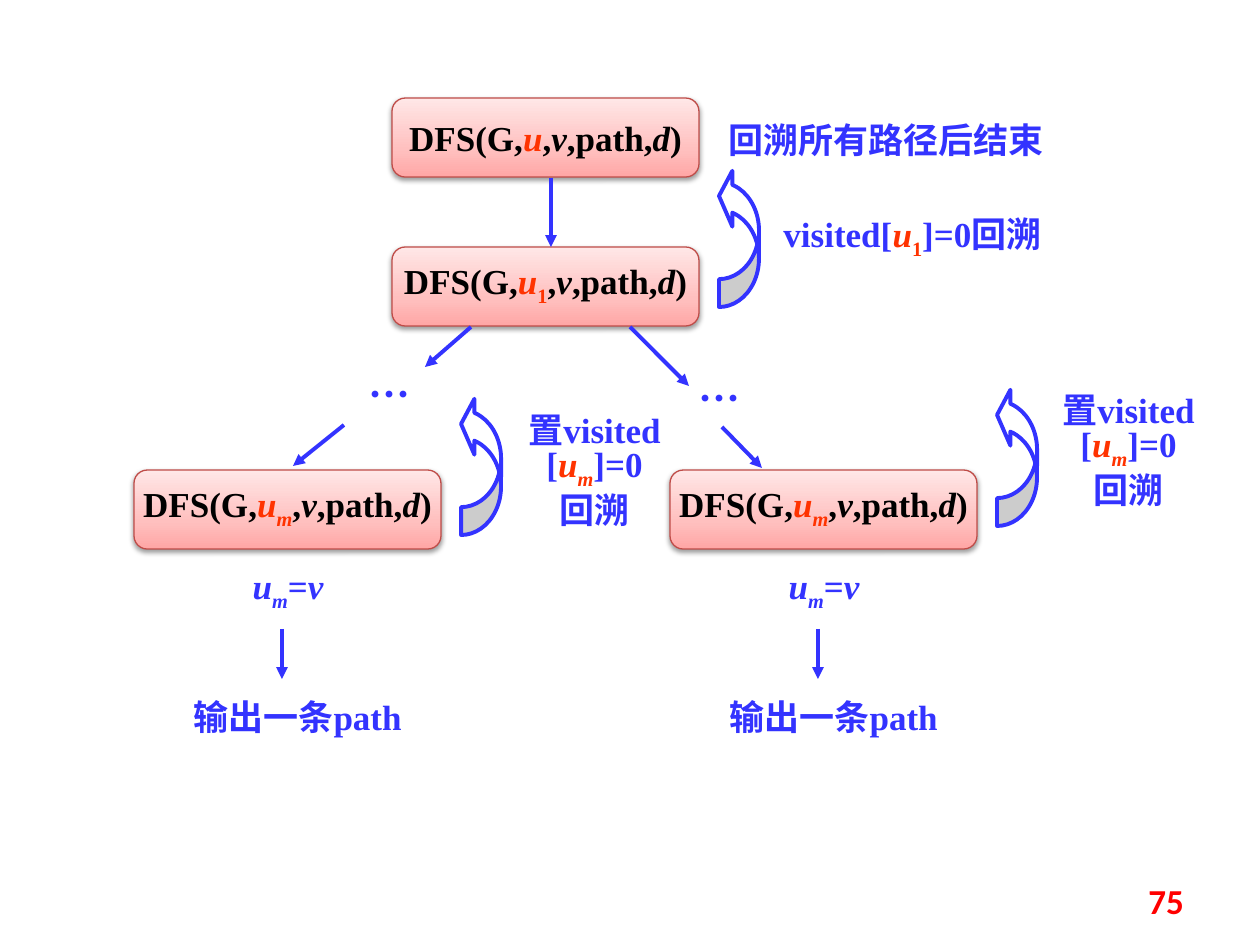
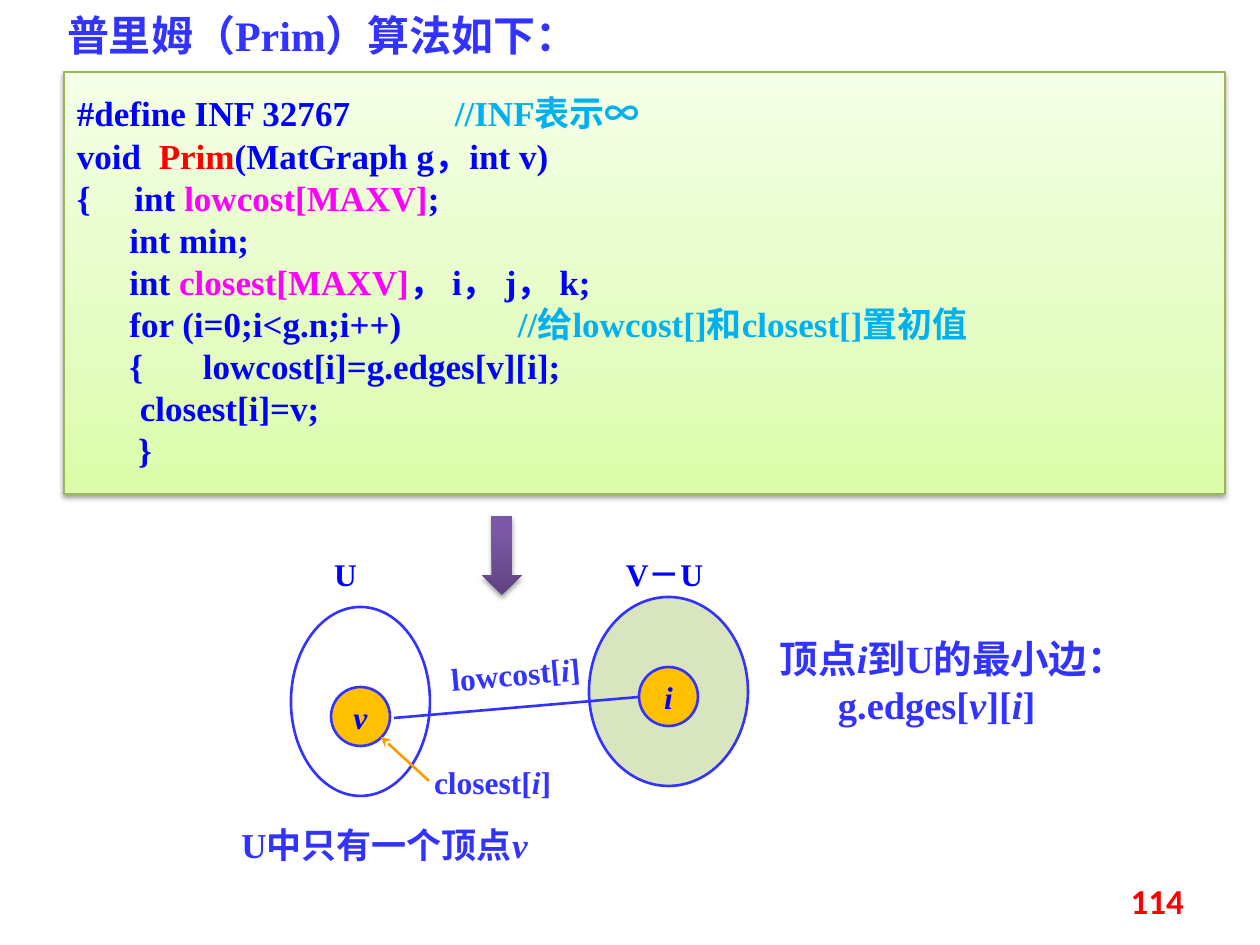
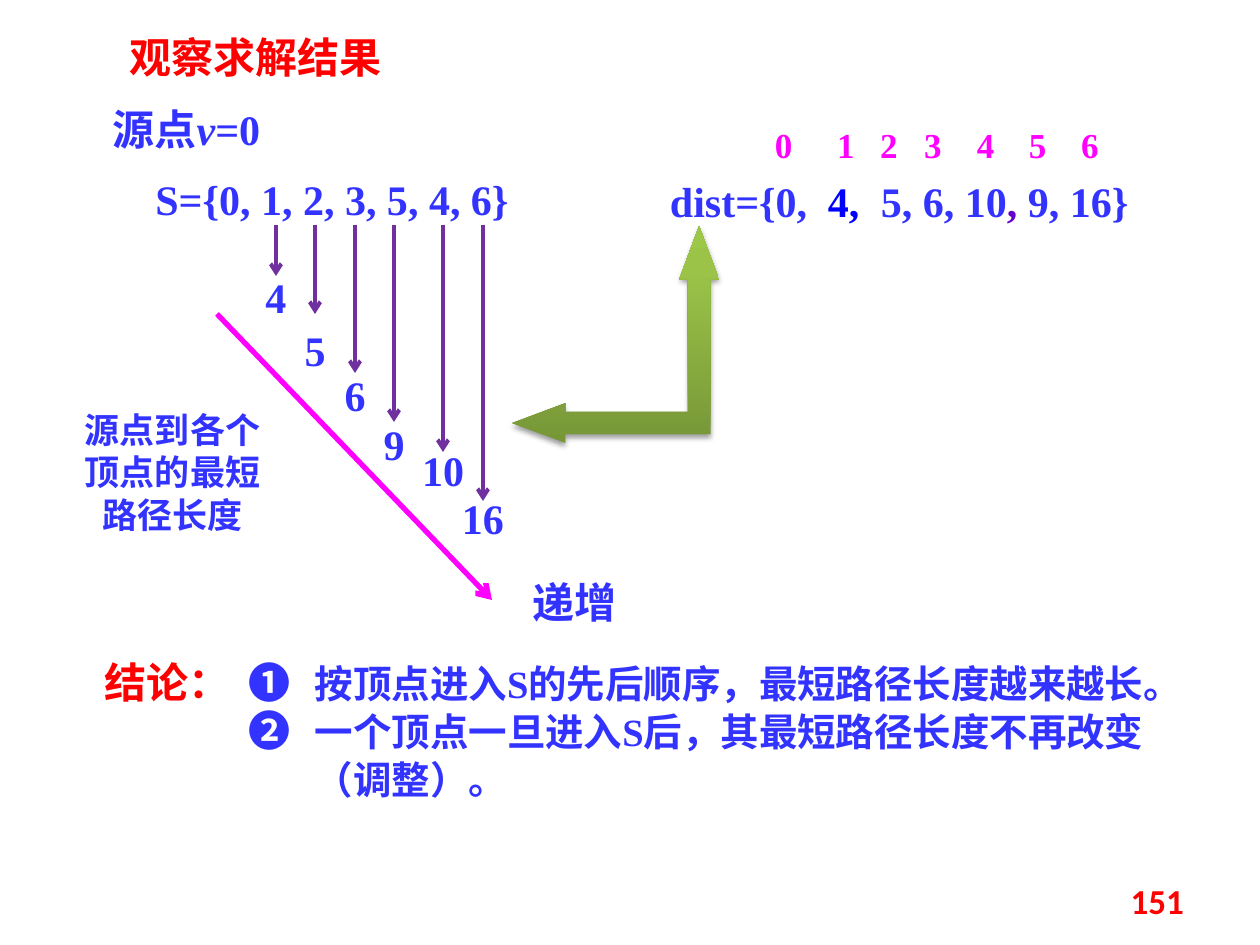
from lxml import etree
from pptx import Presentation
from pptx.dml.color import RGBColor
from pptx.enum.shapes import MSO_CONNECTOR, MSO_SHAPE
from pptx.enum.text import MSO_ANCHOR, MSO_AUTO_SIZE, PP_ALIGN
from pptx.oxml.ns import qn
from pptx.util import Emu, Pt

# Scale and enum members
PX_PER_INCH = 126
LEFT, CENTER, RIGHT = PP_ALIGN.LEFT, PP_ALIGN.CENTER, PP_ALIGN.RIGHT
TOP, MIDDLE = MSO_ANCHOR.TOP, MSO_ANCHOR.MIDDLE
NO_FIT = MSO_AUTO_SIZE.NONE
STRAIGHT = MSO_CONNECTOR.STRAIGHT
RECT, ROUND_RECT, ELLIPSE = MSO_SHAPE.RECTANGLE, MSO_SHAPE.ROUNDED_RECTANGLE, MSO_SHAPE.OVAL
CURVED_ARROW, DOWN_ARROW = MSO_SHAPE.CURVED_RIGHT_ARROW, MSO_SHAPE.DOWN_ARROW
LEFT_UP_ARROW = MSO_SHAPE.LEFT_UP_ARROW
TITLE_ONLY, BLANK = 5, 6

# Colours
BLUE = RGBColor(0x33, 0x33, 0xFF)
CODE_BLUE = RGBColor(0x00, 0x00, 0xFF)
COMMENT = RGBColor(0x00, 0xB0, 0xF0)
MAGENTA = RGBColor(0xFF, 0x00, 0xFF)
RED = RGBColor(0xFF, 0x00, 0x00)
VERTEX_RED = RGBColor(0xFF, 0x33, 0x00)
VIOLET = RGBColor(0x66, 0x00, 0xCC)
PURPLE = RGBColor(0x70, 0x30, 0xA0)
ORANGE = RGBColor(0xFF, 0x99, 0x00)
AMBER = RGBColor(0xFF, 0xC0, 0x00)
SAGE = RGBColor(0xC3, 0xD6, 0x9B)
WHITE = RGBColor(0xFF, 0xFF, 0xFF)
BLACK = RGBColor(0x00, 0x00, 0x00)
NODE_EDGE = RGBColor(0xBF, 0x4C, 0x48)
CODE_EDGE = RGBColor(0x98, 0xB9, 0x55)

# Gradients from bottom to top: position in percent, colour
PINK_FADE = [(0, "FFA6A5"), (35, "FFC0BF"), (100, "FFE7E7")]
LIME_FADE = [(0, "DAFDA7"), (35, "E4FCC2"), (100, "F5FFE7")]
PURPLE_FADE = [(0, "5F4480"), (80, "7B58A6"), (100, "7C57A8")]
GREEN_FADE = [(0, "779737"), (80, "9BC348"), (100, "9DC746")]

# Text style
SERIF, SANS, NUMBER_FONT = "Times New Roman", "Noto Sans CJK SC", "Calibri"
BASE_STYLE = {"name": SERIF, "size": 20, "bold": True, "italic": False,
              "color": BLUE, "baseline": 0}
LINE_FACTOR = 1.2
INSET = (13, 6)


def px(length):
    return Emu(round(length * 914400 / PX_PER_INCH))


def place(at):
    return [px(length) for length in at]


def child(parent, tag, **attributes):
    return etree.SubElement(parent, qn(tag), {key: str(value) for key, value in attributes.items()})


# Text

def styled(text, **changes):
    return text, changes


def italic(text, **changes):
    return styled(text, italic=True, **changes)


def subscript(text, **changes):
    return styled(text, baseline=-25000, **changes)


def add_span(para, text, style):
    span = para.add_run()
    span.text = text
    values = {"name": style["name"], "size": Pt(style["size"]),
              "bold": style["bold"], "italic": style["italic"]}
    for key, value in values.items():
        setattr(span.font, key, value)
    span.font.color.rgb = style["color"]
    properties = span._r.get_or_add_rPr()
    child(properties, "a:ea", typeface=SANS)
    if style["baseline"]:
        properties.set("baseline", str(style["baseline"]))


def write(frame, paras, align=LEFT, anchor=TOP, inset=INSET, wrap=True,
          pitch=None, hang=0, tabs=(), **style):
    style = BASE_STYLE | style
    across, down = place(inset)
    settings = {"word_wrap": wrap, "auto_size": NO_FIT, "vertical_anchor": anchor,
                "margin_left": across, "margin_right": across,
                "margin_top": down, "margin_bottom": down}
    for key, value in settings.items():
        setattr(frame, key, value)
    for index, spans in enumerate(paras):
        para = frame.add_paragraph() if index else frame.paragraphs[0]
        para.alignment = align
        para.line_spacing = Pt(pitch or round(style["size"] * LINE_FACTOR))
        para.space_before = Pt(0)
        properties = para._p.get_or_add_pPr()
        if hang:
            properties.set("marL", str(px(hang)))
            properties.set("indent", str(-px(hang)))
        if tabs:
            stops = child(properties, "a:tabLst")
            for stop in tabs:
                child(stops, "a:tab", pos=px(stop), algn="l")
        for span in spans:
            text, changes = styled(span) if isinstance(span, str) else span
            add_span(para, text, style | changes)


def add_text(page, at, paras, rotation=0, **options):
    box = page.shapes.add_textbox(*place(at))
    box.rotation = rotation
    write(box.text_frame, paras, **options)


def set_title(page, at, text, **options):
    title = page.shapes.title
    title.left, title.top, title.width, title.height = place(at)
    write(title.text_frame, [[text]], size=24, **options)


def add_page_number(page, number):
    add_text(page, (903, 876, 294, 50), [[number]], align=RIGHT, anchor=MIDDLE,
             name=NUMBER_FONT, color=RED)


# Shapes and lines

def add_shape(page, kind, at, fill=None, edge=None, weight=1.5, adjust=()):
    shape = page.shapes.add_shape(kind, *place(at))
    shape.shadow.inherit = False
    for index, value in enumerate(adjust):
        shape.adjustments[index] = value
    if fill is None:
        shape.fill.background()
    elif isinstance(fill, list):
        set_gradient(shape, fill)
        add_shadow(shape)
    else:
        shape.fill.solid()
        shape.fill.fore_color.rgb = fill
    if edge is None:
        shape.line.fill.background()
    else:
        shape.line.color.rgb = edge
        shape.line.width = Pt(weight)
    return shape


def set_gradient(shape, stops):
    shape.fill.gradient()
    shape.fill.gradient_angle = 90
    stop_list = shape._element.spPr.find(".//" + qn("a:gsLst"))
    stop_list.clear()
    for position, color in stops:
        child(child(stop_list, "a:gs", pos=position * 1000), "a:srgbClr", val=color)


def add_shadow(shape):
    effects = shape._element.spPr.find(qn("a:effectLst"))
    shadow = child(effects, "a:outerShdw", blurRad=Pt(3.1), dist=Pt(1.6),
                   dir=5400000, rotWithShape=0)
    child(child(shadow, "a:srgbClr", val="000000"), "a:alpha", val=38000)


def add_line(page, start, end, color=BLUE, weight=2.25, head="triangle"):
    line = page.shapes.add_connector(STRAIGHT, *place(start + end))
    line.line.color.rgb = color
    line.line.width = Pt(weight)
    if head:
        child(line.line._get_or_add_ln(), "a:tailEnd", type=head)
    child(line._element.spPr, "a:effectLst")


def add_call(page, left, top, vertex):
    node = add_shape(page, ROUND_RECT, (left, top, 307, 79), PINK_FADE, NODE_EDGE, 0.75, [0.167])
    spans = ["DFS(G,", *vertex, ",", italic("v"), ",path,", italic("d"), ")"]
    write(node.text_frame, [spans], align=CENTER, anchor=MIDDLE, wrap=False, color=BLACK)


def add_back_arrow(page, left, top):
    arrow = add_shape(page, CURVED_ARROW, (left, top, 40, 139), WHITE, BLUE, 2.25,
                      [0.698, 1.396, 0.333])
    arrow.rotation = 180


def add_vertex(page, left, top, name):
    vertex = add_shape(page, ELLIPSE, (left, top, 59, 59), AMBER, BLUE)
    write(vertex.text_frame, [[italic(name)]], align=CENTER, anchor=MIDDLE, wrap=False,
          size=18, color=CODE_BLUE)


# Slides

def build_call_tree(deck):
    page = deck.slides.add_slide(deck.slide_layouts[BLANK])
    tight = {"align": CENTER, "inset": (0, 0)}
    u = italic("u", color=VERTEX_RED)
    u_first = [u, subscript("1", color=VERTEX_RED)]
    u_last = [u, subscript("m", color=VERTEX_RED, italic=True)]

    # Calls
    add_call(page, 392, 98, [u])
    add_call(page, 392, 247, u_first)
    add_line(page, (551, 178), (551, 247))
    for shift in (0, 536):
        add_call(page, 134 + shift, 470, u_last)
        add_text(page, (233 + shift, 570, 110, 42),
                 [[italic("u"), subscript("m", italic=True), "=", italic("v")]], **tight)
        add_line(page, (282 + shift, 629), (282 + shift, 679))
        add_text(page, (154 + shift, 689, 287, 54), [["输出一条path"]], align=CENTER)

    # Branches
    for start, end in [((471, 327), (425, 367)), ((344, 425), (293, 466)),
                       ((630, 327), (689, 386)), ((722, 427), (762, 468))]:
        add_line(page, start, end)
    for left, top in [(350, 368), (680, 372)]:
        add_text(page, (left, top, 79, 50), [["…"]], size=24, name=SANS, **tight)

    # Backtracking
    for left, top in [(719, 168), (461, 396), (997, 387)]:
        add_back_arrow(page, left, top)
    add_text(page, (719, 118, 334, 43), [["回溯所有路径后结束"]], **tight)
    add_text(page, (769, 218, 287, 43), [["visited[", *u_first, "]=0回溯"]], **tight)
    for left, top in [(515, 410), (1049, 390)]:
        add_text(page, (left, top, 159, 122),
                 [["置visited"], ["[", *u_last, "]=0"], ["回溯"]], pitch=23, **tight)
    add_page_number(page, "75")


def build_prim(deck):
    page = deck.slides.add_slide(deck.slide_layouts[TITLE_ONLY])
    set_title(page, (54, 3, 665, 63), "普里姆（Prim）算法如下：")

    # Code
    code = [
        ["#define INF 32767\t\t", styled("//INF表示∞", color=COMMENT)],
        ["void  ", styled("Prim", color=RED), "(MatGraph g，int v)"],
        ["{     int ", styled("lowcost[MAXV]", color=MAGENTA), ";"],
        ["      int min;"],
        ["      int ", styled("closest[MAXV]", color=MAGENTA), "， i， j， k;"],
        ["      for (i=0;i<g.n;i++)\t\t",
         styled("//给lowcost[]和closest[]置初值", color=COMMENT)],
        ["      {\tlowcost[i]=g.edges[v][i];"],
        ["\tclosest[i]=v;"],
        ["       }"],
    ]
    panel = add_shape(page, RECT, (64, 72, 1161, 422), LIME_FADE, CODE_EDGE, 0.75)
    write(panel.text_frame, code, inset=(13, 20), color=CODE_BLUE)
    add_shape(page, DOWN_ARROW, (482, 516, 40, 79), PURPLE_FADE)

    # Vertex sets
    outside = add_shape(page, ELLIPSE, (589, 597, 159, 189), SAGE, BLUE)
    color = outside._element.spPr.find(qn("a:solidFill"))[0]
    child(color, "a:alpha", val=63000)
    add_shape(page, ELLIPSE, (291, 607, 139, 189), None, BLUE)
    add_line(page, (394, 718), (639, 697), weight=1.5, head=None)
    add_vertex(page, 639, 667, "i")
    add_vertex(page, 331, 687, "v")
    add_line(page, (429, 781), (381, 737), ORANGE, 1.5, "stealth")

    # Labels
    for at, name in [((311, 548, 69, 50), "U"), ((590, 548, 149, 50), "V－U")]:
        add_text(page, at, [[name]], align=CENTER, size=18, color=CODE_BLUE)
    add_text(page, (431, 648, 169, 50), [["lowcost[", italic("i"), "]"]],
             rotation=-5.1, align=CENTER, size=18)
    add_text(page, (421, 756, 208, 50), [["closest[", italic("i"), "]"]], size=18)
    add_text(page, (212, 817, 345, 55), [["U中只有一个顶点", italic("v")]], align=CENTER)
    add_text(page, (767, 630, 444, 106),
             [["顶点", italic("i"), "到U的最小边："],
              ["\tg.edges[", italic("v"), "][", italic("i"), "]"]], size=22, tabs=[58])
    add_page_number(page, "114")


def build_result(deck):
    page = deck.slides.add_slide(deck.slide_layouts[TITLE_ONLY])
    set_title(page, (69, 25, 374, 63), "观察求解结果", align=CENTER, name=SANS, color=RED)

    # Source, set and distances
    add_text(page, (78, 97, 217, 63), [["源点", italic("v"), "=0"]], align=CENTER, size=24)
    add_text(page, (147, 173, 370, 50), [["S={0, 1, 2, 3, 5, 4, 6}"]],
             align=CENTER, inset=(0, 0), size=24)
    add_text(page, (670, 175, 490, 50),
             [["dist={0,\t", styled("4,\t", color=CODE_BLUE), "5, 6, 10",
               styled(", ", color=VIOLET), "9, 16}"]],
             inset=(0, 0), size=24, tabs=[158, 211])
    add_text(page, (762, 117, 374, 55), [["\t".join("0123456")]],
             color=MAGENTA, tabs=[62, 105, 149, 202, 254, 306])

    # Path lengths: value, arrow x, arrow end, label top
    for value, x, end, top in [("4", 276, 276, 265), ("5", 315, 314, 318),
                               ("6", 355, 373, 363), ("9", 394, 422, 412),
                               ("10", 443, 452, 438), ("16", 483, 501, 486)]:
        add_line(page, (x, 225), (x, end), PURPLE, head="arrow")
        add_text(page, (x - 40, top, 80, 63), [[value]], align=CENTER, size=24)
    add_line(page, (217, 314), (492, 600), MAGENTA, 3, "arrow")
    add_text(page, (501, 570, 147, 63), [["递增"]], align=CENTER, size=24, name=SANS)
    add_text(page, (69, 403, 207, 140), [["源点到各个顶点的最短路径长度"]],
             align=CENTER, name=SANS)
    add_shape(page, LEFT_UP_ARROW, (512, 226, 207, 217), GREEN_FADE,
              adjust=[0.108, 0.096, 0.258])

    # Conclusions
    add_text(page, (78, 650, 137, 115), [["结论："]], align=CENTER, size=24,
             name=SANS, color=RED)
    add_text(page, (236, 654, 955, 210),
             [[styled("❶\t", size=24), "按顶点进入S的先后顺序，最短路径长度越来越长。"],
              [styled("❷\t", size=24),
               "一个顶点一旦进入S后，其最短路径长度不再改变（调整）。"]],
             size=22, pitch=27, hang=66)
    add_page_number(page, "151")


def main():
    deck = Presentation()
    deck.slide_width, deck.slide_height = px(1260), px(945)
    build_call_tree(deck)
    build_prim(deck)
    build_result(deck)
    deck.save("out.pptx")


if __name__ == "__main__":
    main()
